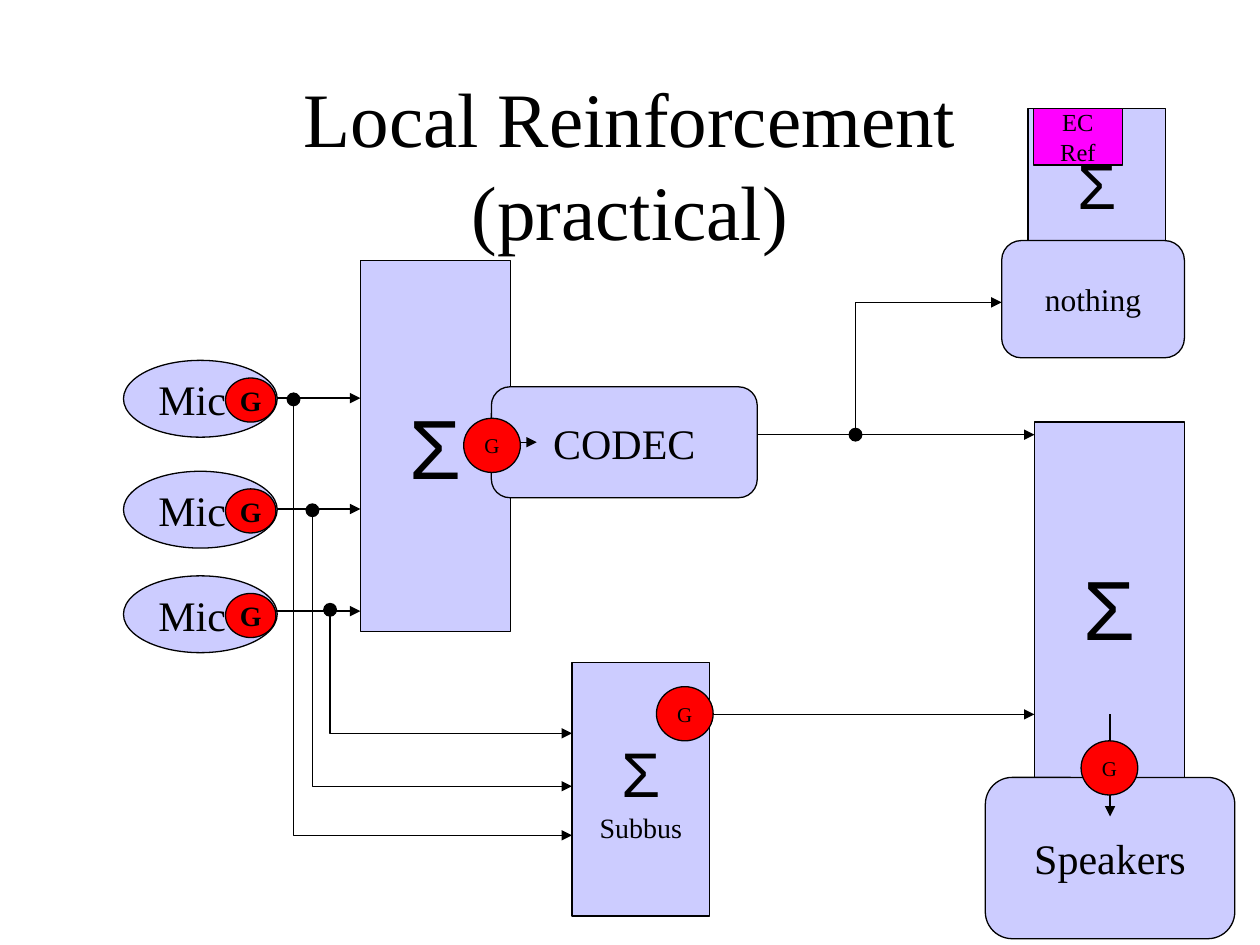
from lxml import etree
from pptx import Presentation
from pptx.dml.color import RGBColor
from pptx.enum.shapes import MSO_CONNECTOR, MSO_SHAPE
from pptx.enum.text import MSO_ANCHOR, MSO_AUTO_SIZE, PP_ALIGN
from pptx.oxml.ns import qn
from pptx.util import Inches, Pt

RECT, ROUND, OVAL = MSO_SHAPE.RECTANGLE, MSO_SHAPE.ROUNDED_RECTANGLE, MSO_SHAPE.OVAL
STRAIGHT = MSO_CONNECTOR.STRAIGHT
LEFT, CENTER = PP_ALIGN.LEFT, PP_ALIGN.CENTER
MIDDLE, NO_FIT = MSO_ANCHOR.MIDDLE, MSO_AUTO_SIZE.NONE
SERIF, SANS = "Times New Roman", "Arial"
BLACK, LILAC, RED, MAGENTA = "000000", "CCCCFF", "FF0000", "FF00FF"
color = RGBColor.from_string

# The page is a grid of 100 columns by 75 rows; all positions are in cells.
CELL = Inches(0.1)

deck = Presentation()
deck.slide_width, deck.slide_height = 100 * CELL, 75 * CELL
page = deck.slides.add_slide(deck.slide_layouts[5])


def block(kind, cells, fill, lines=(), align=CENTER, side_inset=1, bold=False):
    """Draw an outlined shape; each line is (text, size, font)."""
    shape = page.shapes.add_shape(kind, *[round(CELL * value) for value in cells])
    shape.shadow.inherit = False
    shape.fill.solid()
    shape.fill.fore_color.rgb = color(fill)
    shape.line.color.rgb = color(BLACK)
    shape.line.width = Pt(0.75)
    frame = shape.text_frame
    frame_format = {"word_wrap": False, "vertical_anchor": MIDDLE,
                    "margin_left": CELL * side_inset, "margin_right": CELL * side_inset}
    for name, value in frame_format.items():
        setattr(frame, name, value)
    for index, (text, size, font) in enumerate(lines):
        para = frame.add_paragraph() if index else frame.paragraphs[0]
        para.alignment = align
        span = para.add_run()
        span.text = text
        for name, value in {"size": Pt(size), "name": font, "bold": bold}.items():
            setattr(span.font, name, value)
        span.font.color.rgb = color(BLACK)


def wire(*points):
    """Draw an arrow through the points, bent when there are more than two."""
    points = [(round(CELL * x), round(CELL * y)) for x, y in points]
    if len(points) == 2:
        arrow = page.shapes.add_connector(STRAIGHT, *points[0], *points[1])
    else:
        builder = page.shapes.build_freeform(*points[0])
        builder.add_line_segments(points[1:], close=False)
        arrow = builder.convert_to_shape()
        arrow.fill.background()
    arrow.line.color.rgb = color(BLACK)
    arrow.line.width = Pt(0.75)
    properties = arrow.element.spPr
    etree.SubElement(properties.find(qn("a:ln")), qn("a:tailEnd"), type="triangle")
    etree.SubElement(properties, qn("a:effectLst"))


title = page.shapes.title
title_format = {"left": 7.5, "top": 6.7, "width": 85, "height": 12.5}
for name, value in title_format.items():
    setattr(title, name, round(CELL * value))
title.text_frame.text = "Local Reinforcement\v(practical)"
title.text_frame.auto_size = NO_FIT
title.text_frame.vertical_anchor = MIDDLE
para = title.text_frame.paragraphs[0]
para.alignment = CENTER
for name, value in {"size": Pt(44), "name": SERIF}.items():
    setattr(para.font, name, value)
para.font.color.rgb = color(BLACK)

# Microphone inputs to the main mixer
mic_rows = [31.6, 40.4, 48.5]
for row in mic_rows:
    wire((21.9, row), (28.6, row))

# Speaker mixer
block(RECT, (82.1, 33.5, 11.9, 29.4), LILAC, [("Σ", 48, SANS)])
block(ROUND, (78.2, 61.7, 19.8, 12.8), LILAC, [("Speakers", 24, SERIF)])
wire((88.1, 56.7), (88.1, 64.8))

# Main mixer and codec
block(RECT, (28.6, 20.7, 11.9, 29.4), LILAC, [("Σ", 48, SANS)])
block(ROUND, (39, 30.7, 21.1, 8.8), LILAC, [("CODEC", 24, SERIF)])
wire((36.9, 35.1), (42.6, 35.1))
wire((60.1, 34.5), (82.1, 34.5))

# Echo canceller reference
block(RECT, (81.6, 8.6, 10.9, 12.1), LILAC, [("Σ", 36, SANS)])
block(ROUND, (79.5, 19.1, 14.5, 9.3), LILAC, [("nothing", 18, SERIF)])
block(RECT, (82, 8.6, 7.1, 4.5), MAGENTA, [("EC", 14, SERIF), ("Ref", 14, SERIF)])
wire((67.9, 34.5), (67.9, 24), (79.5, 24))

# Subbus, fed by a tap on each microphone
block(RECT, (45.4, 52.6, 10.9, 20.1), LILAC, [("Σ", 36, SANS), ("Subbus", 16, SERIF)])
taps = [(23.3, 31.7), (24.8, 40.5), (26.2, 48.4)]
for (column, row), subbus_row in zip(taps, [66.3, 62.4, 58.2]):
    wire((column, row), (column, subbus_row), (45.4, subbus_row))
wire((56.3, 56.7), (82.1, 56.7))

for column, row in taps + [(67.9, 34.5)]:
    block(OVAL, (column - 0.5, row - 0.5, 1, 1), BLACK)

# Microphones, each with its gain
for top in [28.6, 37.4, 45.7]:
    block(OVAL, (9.8, top, 12.2, 6.1), LILAC, [("Mic", 24, SERIF)], align=LEFT)
    block(OVAL, (17.9, top + 1.4, 4, 3.5), RED, [("G", 16, SERIF)], side_inset=0, bold=True)

# Gains of the subbus, the speakers and the codec
for left, top in [(52.1, 54.5), (85.8, 58.8), (36.8, 33.2)]:
    block(OVAL, (left, top, 4.5, 4.3), RED, [("G", 12, SERIF)])

deck.save("out.pptx")
